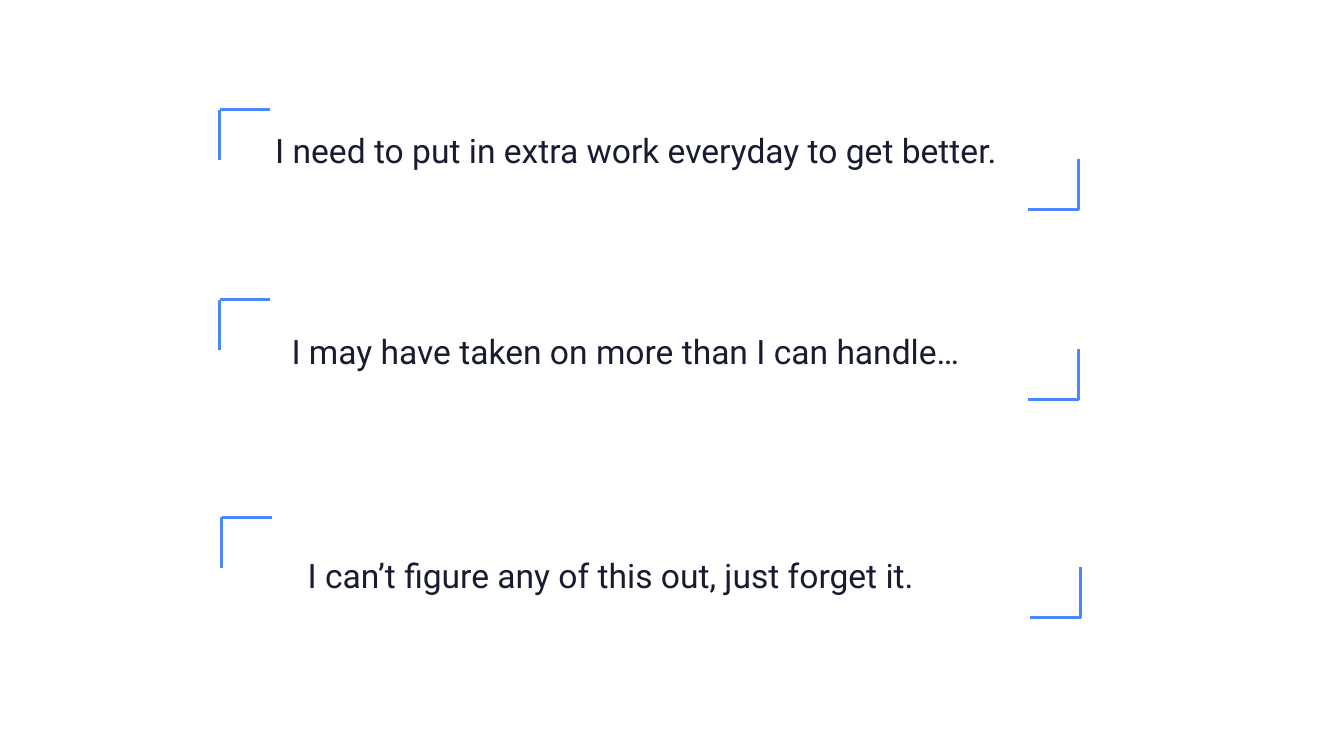
"""Build a slide of three quotes, each framed by two corner brackets."""
from lxml.etree import SubElement
from pptx import Presentation
from pptx.dml.color import RGBColor
from pptx.enum.shapes import MSO_CONNECTOR
from pptx.enum.text import MSO_AUTO_SIZE, PP_ALIGN
from pptx.oxml.ns import qn
from pptx.util import Inches, Pt

COLORS = {"bg": "FFFFFF", "text": "171C30", "bracket": "4A86FF"}
FONT = "Roboto"
COLS = 20
ARM = 0.75
FRAME_W, FRAME_H = 12.78, 1.49

prs = Presentation()
prs.slide_width, prs.slide_height = Inches(20), Inches(11.25)
unit = prs.slide_width / COLS
s = prs.slides.add_slide(prs.slide_layouts[6])
s.background.fill.solid()
s.background.fill.fore_color.rgb = RGBColor.from_string(COLORS["bg"])


def grid(*values):
    """Turn grid columns into slide lengths."""
    return [round(v * unit) for v in values]


def add_bracket(shapes, x, y, direction):
    """Draw two arms meeting at a corner."""
    end = ARM * direction
    for start, stop in (((x, y + end), (x, y)), ((x, y), (x + end, y))):
        line = shapes.add_connector(MSO_CONNECTOR.STRAIGHT, *grid(*start, *stop))
        line.line.color.rgb = RGBColor.from_string(COLORS["bracket"])
        line.line.width = Pt(3)
        SubElement(line._element.spPr, qn("a:effectLst"))


quotes = [
    ("I need to put in extra work everyday to get better.", 3.27, 1.63, 3.32, 1.83, 12.29),
    ("I may have taken on more than I can handle…", 3.27, 4.46, 3.5, 4.82, 11.62),
    ("I can’t figure any of this out, just forget it.", 3.3, 7.7, 4.05, 8.16, 10.08),
]

for quote, left, top, text_left, text_top, text_width in quotes:
    group = s.shapes.add_group_shape()
    sp = group.shapes.add_textbox(*grid(text_left, text_top, text_width, 1.31))
    tf = sp.text_frame
    tf.word_wrap = True
    tf.auto_size = MSO_AUTO_SIZE.SHAPE_TO_FIT_TEXT
    tf.margin_left = tf.margin_right = tf.margin_top = tf.margin_bottom = Inches(0.1)
    tf.text = quote
    p = tf.paragraphs[0]
    p.alignment = PP_ALIGN.CENTER
    r = p.runs[0]
    r.font.name = FONT
    r.font.size = Pt(36)
    r.font.color.rgb = RGBColor.from_string(COLORS["text"])
    add_bracket(group.shapes, left, top, 1)
    add_bracket(group.shapes, left + FRAME_W, top + FRAME_H, -1)

prs.save("out.pptx")
